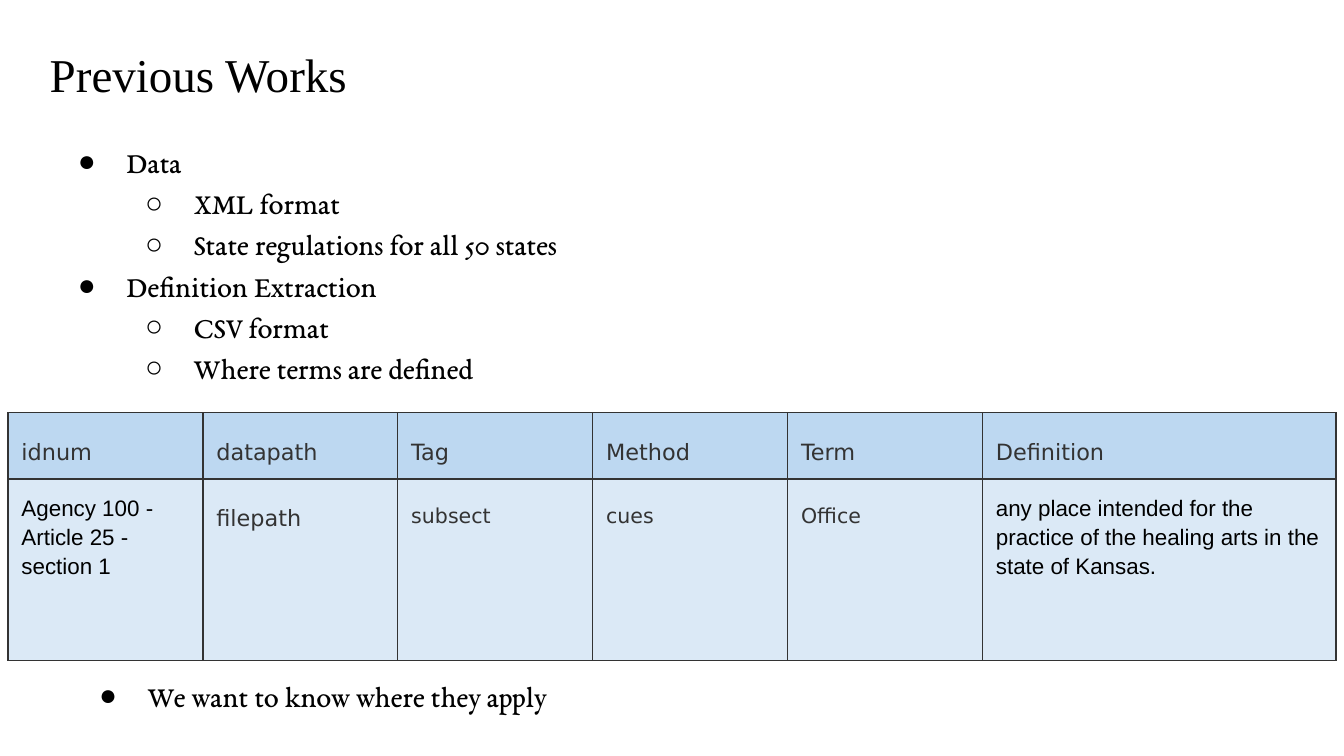
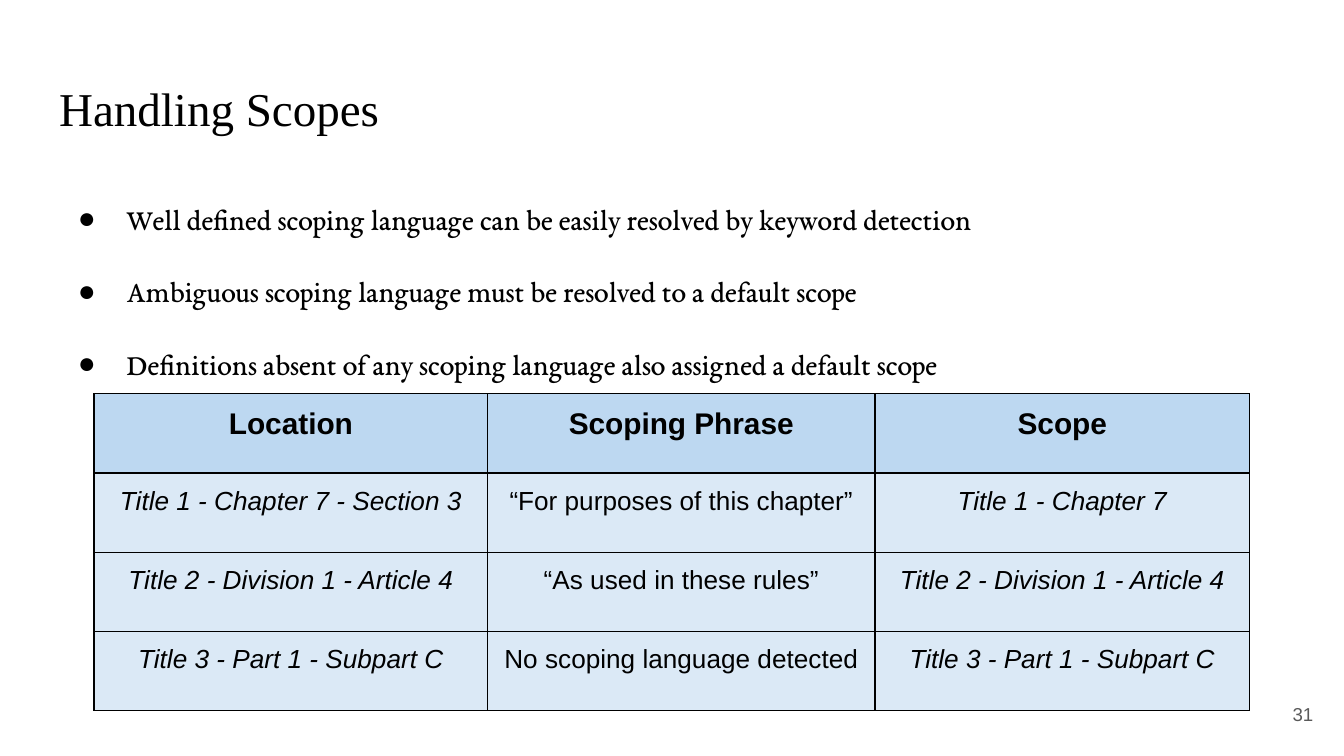
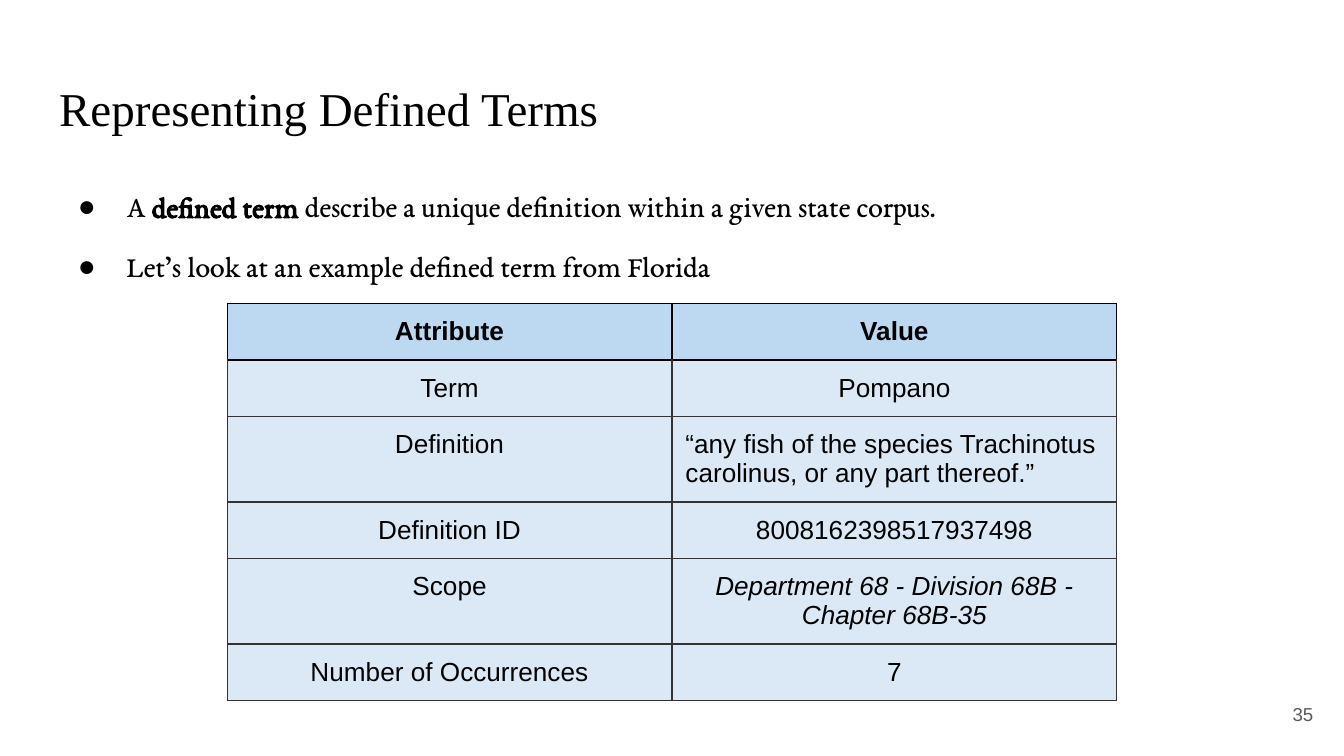
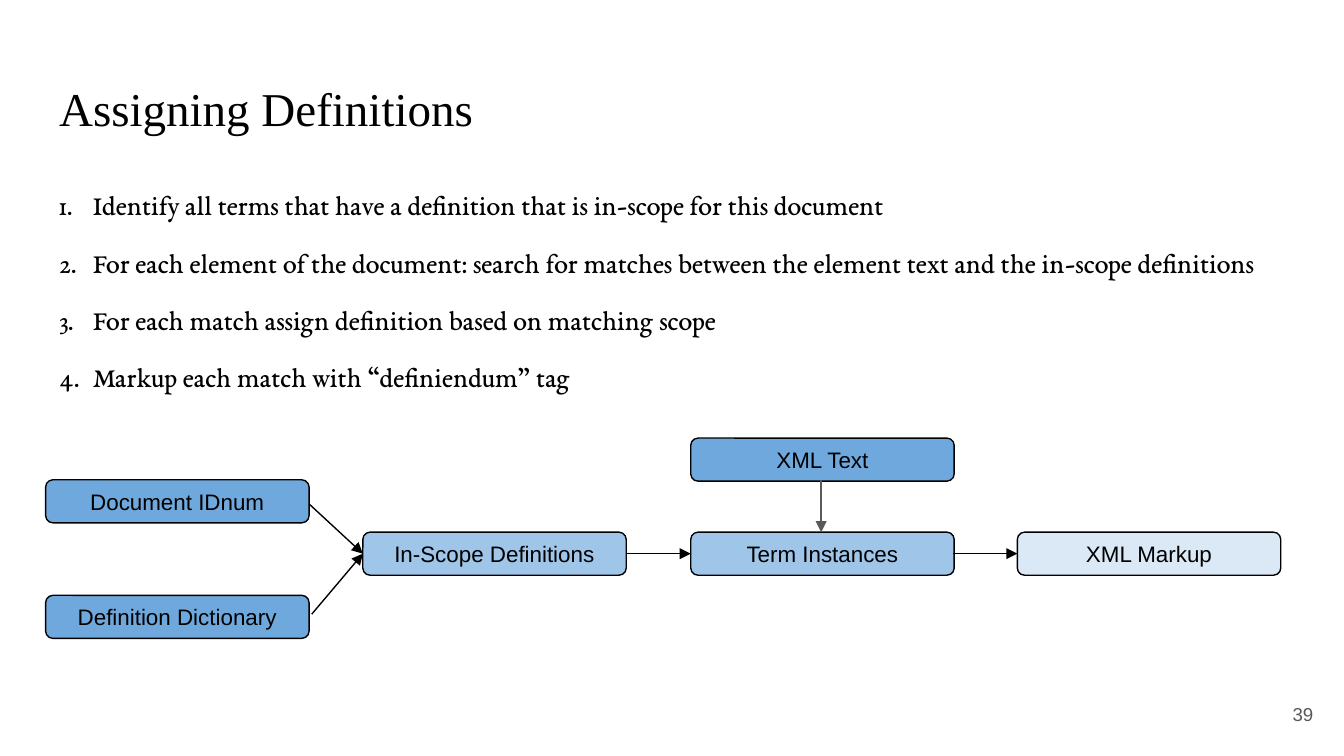
from lxml import etree
from pptx import Presentation, util as u
from pptx.dml.color import RGBColor
from pptx.enum import shapes, text
from pptx.oxml import ns

ALIGN = {"l": text.PP_ALIGN.LEFT, "c": text.PP_ALIGN.CENTER, "r": text.PP_ALIGN.RIGHT}


def paint(code):
    """Turn a hex string into a colour."""
    return RGBColor.from_string(code)


def sub(node, tag, **attrs):
    """Add a drawing child element."""
    return etree.SubElement(node, ns.qn("a:" + tag), attrs)


def mark(para, sign, left, hang):
    """Give a paragraph a bullet, or automatic numbers for the sign 1."""
    props = para._p.get_or_add_pPr()
    props.set("marL", str(u.Inches(left)))
    props.set("indent", str(u.Inches(-hang)))
    sub(sub(props, "buClr"), "srgbClr", val=Deck.ink)
    if sign == "1":
        sub(props, "buFont", typeface=Deck.serif)
        sub(props, "buAutoNum", type="arabicPeriod")
    else:
        sub(props, "buFont", typeface=Deck.sans)
        sub(props, "buChar", char=sign)


def write(frame, items, **base):
    """Fill a text frame; an item is a string or a dict that overrides the format."""
    for i, item in enumerate(items):
        fmt = {**base, **(item if isinstance(item, dict) else {"t": item})}
        para = frame.paragraphs[0] if i == 0 else frame.add_paragraph()
        para.level = fmt.get("level", 0)
        para.alignment = ALIGN[fmt.get("align", "l")]
        para.line_spacing = fmt.get("line", 1.0)
        para.space_before = u.Pt(fmt.get("before", 0) if i else 0)
        para.space_after = u.Pt(fmt.get("after", 0))
        if "sign" in fmt:
            mark(para, fmt["sign"], fmt["left"], fmt["hang"])
        parts = fmt["t"] if isinstance(fmt["t"], list) else [(fmt["t"], fmt.get("bold", False))]
        for words, bold in parts:
            run = para.add_run()
            run.text = words
            font = run.font
            font.name, font.size = fmt.get("font", Deck.sans), u.Pt(fmt["size"])
            font.bold, font.italic = bold, fmt.get("italic", False)
            font.color.rgb = paint(fmt.get("color", Deck.ink))


class Deck:
    """Holds the style and the current slide."""
    ink, soft, gray = "000000", "333333", "595959"
    head, pale, mid, deep = "BDD8F1", "DBE9F6", "9FC5E8", "6FA8DC"
    sans, serif, times, mono = "Arial", "EB Garamond", "Times New Roman", "DejaVu Sans"
    dot = dict(sign="●", left=0.5, hang=0.36, font=serif, size=16)
    ring = dict(sign="○", left=1, level=1)

    def __init__(self):
        """Start an empty wide deck."""
        self.prs = Presentation()
        self.prs.slide_width = u.Inches(10)
        self.prs.slide_height = u.Inches(10 * 9 / 16)

    def frame(self, shape, mid=False):
        """Set the insets, wrap and anchor of a text frame."""
        box = shape.text_frame
        box.word_wrap, box.auto_size = True, text.MSO_AUTO_SIZE.NONE
        box.margin_left = box.margin_right = box.margin_top = box.margin_bottom = u.Inches(0.1)
        box.vertical_anchor = text.MSO_ANCHOR.MIDDLE if mid else text.MSO_ANCHOR.TOP
        return box

    def place(self, shape, *spot):
        """Move and size a shape."""
        shape.left, shape.top, shape.width, shape.height = map(u.Inches, spot)

    def page(self, title, left=0.34, top=0.49, number=None):
        """Add a slide with its title and page number."""
        self.slide = self.prs.slides.add_slide(self.prs.slide_layouts[1])
        self.shapes = self.slide.shapes
        self.place(self.shapes.title, left, top, 9.32, 0.63)
        write(self.frame(self.shapes.title), [title], font=self.times, size=25.2)
        if number:
            self.label([number], (9.27, 5.1, 0.6, 0.43), mid=True,
                       align="r", size=10, color=self.gray)

    def body(self, items, top=1.26, high=3.74, **fmt):
        """Fill the body placeholder with a list."""
        hold = self.slide.placeholders[1]
        self.place(hold, 0.34, top, 9.32, high)
        write(self.frame(hold), items, **{**self.dot, **fmt})

    def label(self, items, spot, mid=False, **fmt):
        """Add a text box."""
        box = self.shapes.add_textbox(*map(u.Inches, spot))
        write(self.frame(box, mid), items, **fmt)

    def edge(self, cell, sides):
        """Draw the borders of a cell, given as side and colour."""
        props = cell._tc.get_or_add_tcPr()
        for side, color in sides.items():
            line = sub(props, "ln" + side, w=str(u.Pt(0.75)))
            sub(sub(line, "solidFill"), "srgbClr", val=color)

    def table(self, rows, left, top, cols, highs, rim, crown=None, first=None, **fmt):
        """Add a table with a header row; crown is the border colour of the header."""
        crown = crown or rim
        grid = self.shapes.add_table(len(rows), len(cols), u.Inches(left), u.Inches(top),
                                     u.Inches(sum(cols)), u.Inches(sum(highs))).table
        grid.horz_banding = grid.first_row = False
        for col, wide in zip(grid.columns, cols):
            col.width = u.Inches(wide)
        for r, (row, high) in enumerate(zip(rows, highs)):
            grid.rows[r].height = u.Inches(high)
            side, roof = (rim if r else crown), (rim if r > 1 else crown)
            for c, item in enumerate(row):
                cell = grid.cell(r, c)
                cell.margin_left = cell.margin_right = u.Inches(0.1)
                cell.margin_top = cell.margin_bottom = u.Inches(0.1)
                self.edge(cell, {"L": side, "R": side, "T": roof, "B": side})
                cell.fill.solid()
                cell.fill.fore_color.rgb = paint(self.pale if r else self.head)
                write(cell.text_frame, [item], **{**fmt, **({} if r else first or {})})

    def node(self, words, left, top, fill):
        """Add a rounded step of the flow."""
        spot = map(u.Inches, (left, top, 1.96, 0.32))
        box = self.shapes.add_shape(shapes.MSO_SHAPE.ROUNDED_RECTANGLE, *spot)
        box.shadow.inherit = False
        box.fill.solid()
        box.fill.fore_color.rgb = paint(fill)
        box.line.color.rgb, box.line.width = paint(self.ink), u.Pt(0.75)
        write(self.frame(box, True), [words], align="c", size=12)

    def arrow(self, *ends, color=ink):
        """Add an arrow between two points."""
        line = self.shapes.add_connector(shapes.MSO_CONNECTOR.STRAIGHT, *map(u.Inches, ends))
        line.line.color.rgb, line.line.width = paint(color), u.Pt(0.75)
        sub(line.line._get_or_add_ln(), "tailEnd", type="triangle")
        sub(line._element.spPr, "effectLst")


def works(deck):
    """Build the slide on previous works."""
    deck.page("Previous Works", 0.27, 0.24)
    ring = deck.ring
    deck.body(["Data", {"t": "XML format", **ring},
               {"t": "State regulations for all 50 states", **ring},
               "Definition Extraction", {"t": "CSV format", **ring},
               {"t": "Where terms are defined", **ring}], 0.93, 2.57, line=1.15)
    plain = dict(font=deck.sans, color=deck.ink, line=1.15, after=0)
    small = [{"t": word, "size": 11} for word in ("subsect", "cues", "Office")]
    rows = [["idnum", "datapath", "Tag", "Method", "Term", "Definition"],
            [{"t": "Agency 100 - Article 25 - section 1", **plain}, "filepath", *small,
             {"t": "any place intended for the practice of the healing arts "
                   "in the state of Kansas.", **plain}]]
    deck.table(rows, 0.06, 3.07, [1.45] * 5 + [2.63], [0.49, 1.35], deck.soft,
               font=deck.mono, size=12, color=deck.soft, line=1.5, after=10)
    deck.label(["We want to know where they apply"], (0.5, 4.94, 6.67, 0.47), **deck.dot)


def scopes(deck):
    """Build the slide on handling scopes."""
    deck.page("Handling Scopes", number="31")
    deck.body(["Well defined scoping language can be easily resolved by keyword detection",
               "Ambiguous scoping language must be resolved to a default scope",
               "Definitions absent of any scoping language also assigned a default scope"],
              line=1.5, before=10)
    cases = [("Title 1 - Chapter 7 - Section 3", "“For purposes of this chapter”",
              "Title 1 - Chapter 7"),
             ("Title 2 - Division 1 - Article 4", "“As used in these rules”",
              "Title 2 - Division 1 - Article 4"),
             ("Title 3 - Part 1 - Subpart C", "No scoping language detected",
              "Title 3 - Part 1 - Subpart C")]
    rows = [["Location", "Scoping Phrase", "Scope"]]
    rows += [[{"t": place, "italic": True}, phrase, {"t": scope, "italic": True}]
             for place, phrase, scope in cases]
    deck.table(rows, 0.7, 2.93, [2.93, 2.88, 2.79], [0.59] * 4, deck.ink,
               first=dict(size=16, bold=True), align="c", size=14)


def terms(deck):
    """Build the slide on defined terms."""
    deck.page("Representing Defined Terms", number="35")
    deck.body([{"t": [("A ", False), ("defined term ", True),
                      ("describe a unique definition within a given state corpus.", False)]},
               "Let’s look at an example defined term from Florida"], line=1.15, before=10)
    quote = "“any fish of the species Trachinotus carolinus, or any part thereof.”"
    rows = [["Attribute", "Value"],
            ["Term", "Pompano"],
            ["Definition", {"t": quote, "align": "l"}],
            ["Definition ID", "8008162398517937498"],
            ["Scope", {"t": "Department 68 - Division 68B - Chapter 68B-35", "italic": True}],
            ["Number of Occurrences", "7"]]
    one, two = 0.41, 0.63
    deck.table(rows, 1.69, 2.26, [3.31] * 2, [one, one, two, one, two, one], deck.soft,
               deck.ink, dict(bold=True), align="c", size=14)


def assign(deck):
    """Build the slide on assigning definitions."""
    deck.page("Assigning Definitions", number="39")
    deck.body(["Identify all terms that have a definition that is in-scope for this document",
               "For each element of the document: search for matches between the element text "
               "and the in-scope definitions",
               "For each match assign definition based on matching scope",
               "Markup each match with “definiendum” tag"],
              sign="1", left=0.25, hang=0.35, size=15, line=1.15, before=10)
    for step in [("Definition Dictionary", 0.34, 4.43, deck.deep),
                 ("XML Text", 5.14, 3.26, deck.deep),
                 ("Document IDnum", 0.34, 3.57, deck.deep),
                 ("In-Scope Definitions", 2.7, 3.96, deck.mid),
                 ("Term Instances", 5.14, 3.96, deck.mid),
                 ("XML Markup", 7.57, 3.96, deck.pale)]:
        deck.node(*step)
    axis = 4.12
    for x, y, end in [(2.3, 3.75, 2.7), (2.32, 4.57, 2.7), (4.66, axis, 5.14), (7.09, axis, 7.57)]:
        deck.arrow(x, y, end, axis)
    deck.arrow(6.11, 3.57, 6.11, 3.96, color=deck.gray)


def main():
    """Build and save the deck."""
    deck = Deck()
    for build in (works, scopes, terms, assign):
        build(deck)
    deck.prs.save("out.pptx")


if __name__ == "__main__":
    main()
